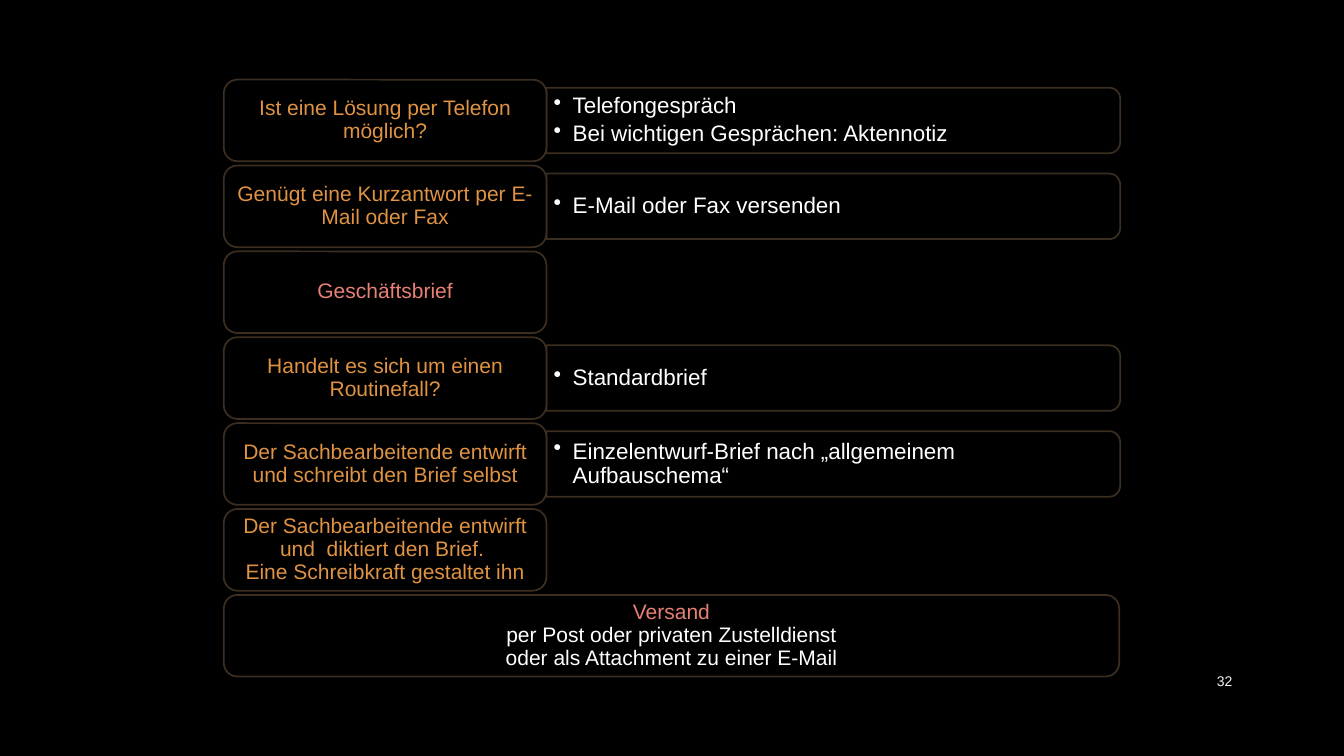
import math
from pptx import Presentation, util as u
from pptx.dml.color import RGBColor
from pptx.enum import shapes, text
from pptx.oxml.ns import qn
from lxml import etree

COLORS = {"back": "000000", "edge": "3B2E21", "side": "413324", "ask": "DF9343",
          "key": "E78075", "white": "FFFFFF", "page": "F2F2F2"}
STEPS = [
    ("Ist eine Lösung per Telefon möglich?", "ask",
     ["Telefongespräch", "Bei wichtigen Gesprächen: Aktennotiz"]),
    ("Genügt eine Kurzantwort per E-Mail oder Fax", "ask", ["E-Mail oder Fax versenden"]),
    ("Geschäftsbrief", "key", []),
    ("Handelt es sich um einen Routinefall?", "ask", ["Standardbrief"]),
    ("Der Sachbearbeitende entwirft und schreibt den Brief selbst", "ask",
     ["Einzelentwurf-Brief nach „allgemeinem Aufbauschema“"]),
    ("Der Sachbearbeitende entwirft und  diktiert den Brief. \vEine Schreibkraft gestaltet ihn",
     "ask", []),
    ("Versand\vper Post oder privaten Zustelldienst\voder als Attachment zu einer E-Mail",
     "key", []),
]
LEFT, TOP, PITCH = 2.22, 0.79, 0.852
WIDE, FULL, HIGH = 3.2, 8.88, 0.81
SIDE_W, SIDE_H, ROUND = 5.69, 0.65, 0.11


def rgb(name):
    return RGBColor.from_string(COLORS[name])


def style(shape, edge):
    shape.shadow.inherit = False
    shape.fill.solid()
    shape.fill.fore_color.rgb = rgb("back")
    shape.line.color.rgb = rgb(edge)
    shape.line.width = u.Pt(1.25)


def frame(shape, pads):
    box = shape.text_frame
    box.word_wrap = True
    box.vertical_anchor = text.MSO_ANCHOR.MIDDLE
    box.margin_left, box.margin_top, box.margin_right, box.margin_bottom = map(u.Inches, pads)
    return box


def font(run, size, color):
    run.font.name = "Arial"
    run.font.size = u.Pt(size)
    run.font.color.rgb = rgb(color)


def add_step(y, wide, label, color):
    card = slide.shapes.add_shape(shapes.MSO_SHAPE.ROUNDED_RECTANGLE, u.Inches(LEFT),
                                  u.Inches(y), u.Inches(wide), u.Inches(HIGH))
    style(card, "edge")
    para = frame(card, (0.06, 0.03, 0.06, 0.03)).paragraphs[0]
    para.text = label
    para.alignment = text.PP_ALIGN.CENTER
    para.line_spacing = 0.9
    for i, run in enumerate(para.runs):
        font(run, 15, "white" if color == "key" and i else color)


def add_side(y, items):
    x, end = LEFT + WIDE, LEFT + WIDE + SIDE_W
    dots = [(x, y)]
    for mid, start in ((y + ROUND, -90), (y + SIDE_H - ROUND, 0)):
        for turn in range(start, start + 91, 10):
            arc = math.radians(turn)
            dots.append((end - ROUND + ROUND * math.cos(arc), mid + ROUND * math.sin(arc)))
    dots.append((x, y + SIDE_H))
    dots = [(u.Inches(a), u.Inches(b)) for a, b in dots]
    path = slide.shapes.build_freeform(*dots[0])
    path.add_line_segments(dots[1:], close=True)
    panel = path.convert_to_shape()
    style(panel, "side")
    tint = panel.line._ln.find(".//" + qn("a:srgbClr"))
    etree.SubElement(tint, qn("a:alpha"), val="90000")
    box = frame(panel, (0.07, 0.07, 0.1, 0.07))
    for i, item in enumerate(items):
        para = box.add_paragraph() if i else box.paragraphs[0]
        para.text = item
        para.level = 1
        para.alignment = text.PP_ALIGN.LEFT
        para.line_spacing = 0.9
        para.space_after = u.Pt(2.8)
        props = para._p.get_or_add_pPr()
        props.set("marL", str(u.Inches(0.19)))
        props.set("indent", str(u.Inches(-0.19)))
        etree.SubElement(props, qn("a:buChar"), char="•")
        font(para.runs[0], 16, "white")


deck = Presentation()
deck.slide_width, deck.slide_height = u.Inches(13.33), u.Inches(7.5)
slide = deck.slides.add_slide(deck.slide_layouts[6])
slide.background.fill.solid()
slide.background.fill.fore_color.rgb = rgb("back")

page = slide.shapes.add_textbox(u.Inches(11.5), u.Inches(6.56), u.Inches(0.82), u.Inches(0.4))
para = frame(page, (0.1, 0.05, 0.1, 0.05)).paragraphs[0]
para.text = "32"
para.alignment = text.PP_ALIGN.RIGHT
font(para.runs[0], 10, "page")

for i, (label, color, items) in enumerate(STEPS):
    y = TOP + i * PITCH
    if items:
        add_side(y + (HIGH - SIDE_H) / 2, items)
    add_step(y, FULL if i == len(STEPS) - 1 else WIDE, label, color)

deck.save("out.pptx")
